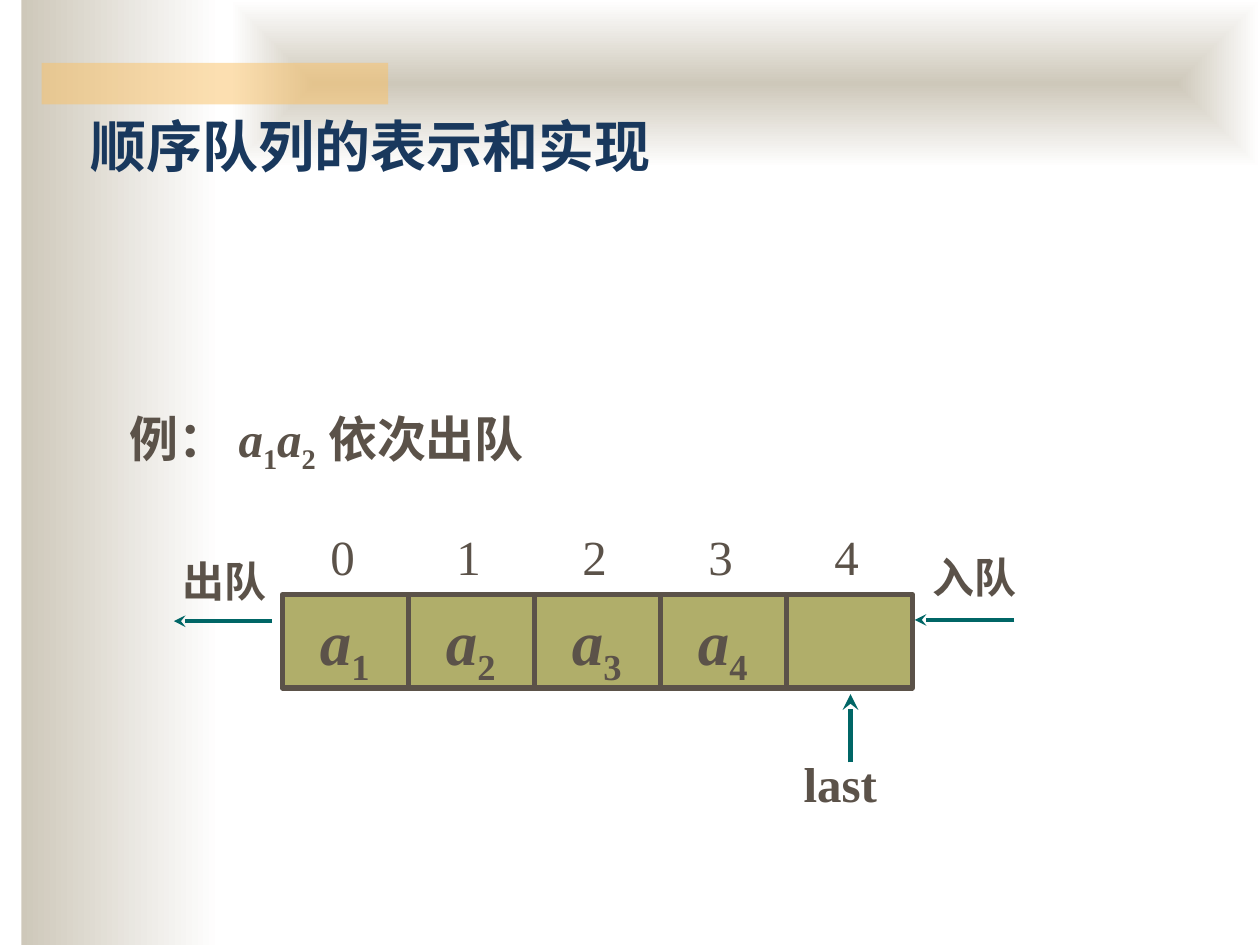
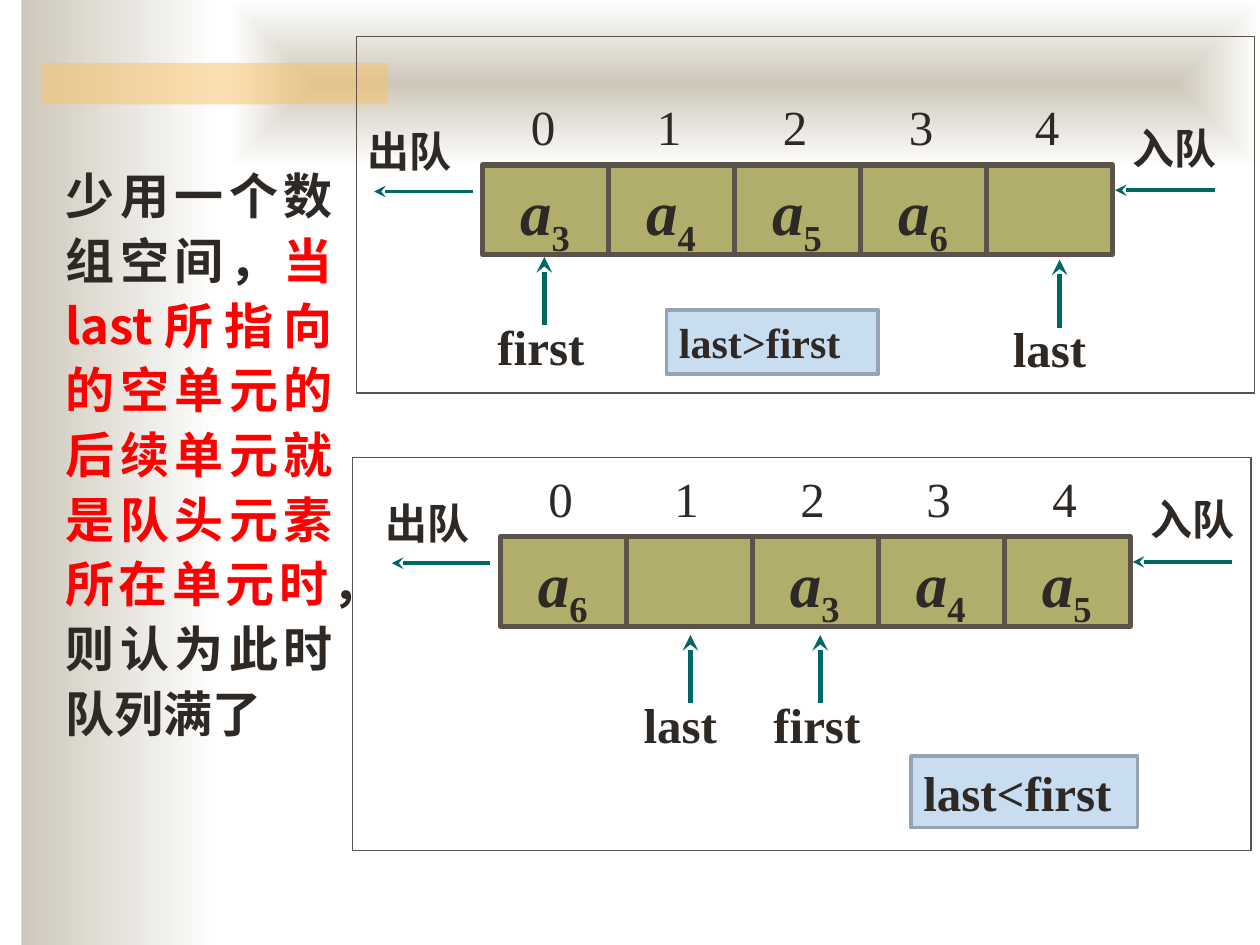
"""Build two slides on the array-based queue."""
import lxml.etree
import pptx
import pptx.dml.color
import pptx.enum.shapes
import pptx.enum.text
import pptx.oxml.ns
import pptx.util

RGBColor = pptx.dml.color.RGBColor
BOX = pptx.enum.shapes.MSO_SHAPE.RECTANGLE
ALIGN = pptx.enum.text.PP_ALIGN
MIDDLE = pptx.enum.text.MSO_ANCHOR.MIDDLE
qn = pptx.oxml.ns.qn

WIDE, HIGH = 10, 7.5
SERIF, SANS = "Times New Roman", "Noto Sans CJK SC"
SAND = RGBColor(0xCE, 0xC8, 0xBA)
WHITE = RGBColor(0xFF, 0xFF, 0xFF)
AMBER = RGBColor(0xFA, 0xC1, 0x64)
OLIVE = RGBColor(0xB0, 0xAE, 0x6A)
BROWN = RGBColor(0x5B, 0x52, 0x49)
DARK = RGBColor(0x2E, 0x29, 0x24)
TEAL = RGBColor(0x00, 0x66, 0x66)
NAVY = RGBColor(0x19, 0x38, 0x5D)
RED = RGBColor(0xFF, 0x00, 0x00)
SKY = RGBColor(0xC9, 0xDD, 0xF1)
STEEL = RGBColor(0x95, 0xA3, 0xB2)


def grid(*steps):
    """Turn grid steps, each a tenth of the slide's width, into lengths."""
    return [pptx.util.Inches(step) for step in steps]


def sub(node, tag, **traits):
    """Append a drawing element to a node."""
    return lxml.etree.SubElement(node, qn(tag), **traits)


def block(slide, area, fill=None, edge=None, weight=1):
    """Add a flat rectangle."""
    shape = slide.shapes.add_shape(BOX, *grid(*area))
    shape.shadow.inherit = False
    if fill is None:
        shape.fill.background()
    else:
        shape.fill.solid()
        shape.fill.fore_color.rgb = fill
    if edge is None:
        shape.line.fill.background()
    else:
        shape.line.color.rgb = edge
        shape.line.width = pptx.util.Pt(weight)
    return shape


def fade(shape):
    """Fill a shape with the shared sand-to-white gradient."""
    shape.fill.gradient()
    shape.fill.gradient_angle = 0
    for stop, shade, place in zip(shape.fill.gradient_stops, (SAND, WHITE), (0, 1)):
        stop.color.rgb = shade
        stop.position = place


def bands(deck, slide):
    """Draw the shared bands and place them on the master."""
    side = block(slide, (0.17, 0, 1.58, HIGH), WHITE)
    top = block(slide, (1.83, 0, 8.17, 1.33), WHITE)
    bar = block(slide, (0.33, 0.5, 2.75, 0.33), AMBER)
    fade(side)
    fade(top)
    blend = top.element.spPr.find(qn("a:gradFill"))
    blend.remove(blend.find(qn("a:lin")))
    route = sub(blend, "a:path", path="shape")
    sub(route, "a:fillToRect", l="50000", t="50000", r="50000", b="50000")
    sub(bar.element.spPr.find(".//" + qn("a:srgbClr")), "a:alpha", val="50000")
    for rank, shape in enumerate((side, top, bar)):
        shape.element.nvSpPr.cNvPr.set("id", str(100 + rank))
        deck.slide_master.shapes.element.insert(2 + rank, shape.element)


def write(shape, parts, size, ink, face=SERIF, bold=True, align=ALIGN.LEFT):
    """Write one paragraph of (text, look) parts, or a plain string."""
    frame = shape.text_frame
    frame.word_wrap = True
    line = frame.paragraphs[0]
    line.alignment = align
    font = line.font
    font.size, font.bold, font.name = pptx.util.Pt(size), bold, face
    font.color.rgb = ink
    sub(font._element, "a:ea", typeface=SANS)
    for text, look in [(parts, None)] if isinstance(parts, str) else parts:
        run = line.add_run()
        run.text = text
        if look == "var":
            run.font.italic = True
        elif look == "low":
            run._r.get_or_add_rPr().set("baseline", "-25000")
        elif look is not None:
            run.font.color.rgb = look
    return line


def label(slide, area, parts, size, ink, **style):
    """Add a text box with one paragraph."""
    box = slide.shapes.add_textbox(*grid(*area))
    return box, write(box, parts, size, ink, **style)


def term(index):
    """Give the parts of the variable a with its index."""
    return [("a", "var"), (str(index), "low")]


def arrow(slide, start, end, weight):
    """Add a teal arrow from start to end."""
    link = slide.shapes.add_connector(
        pptx.enum.shapes.MSO_CONNECTOR.STRAIGHT, *grid(*start, *end))
    link.line.color.rgb = TEAL
    link.line.width = pptx.util.Pt(weight)
    props = link.element.spPr
    sub(props.find(qn("a:ln")), "a:tailEnd", type="stealth")
    sub(props, "a:effectLst")


def queue(slide, left, top, high, items, ink, out):
    """Draw the cells, their indices and the arrows in and out."""
    for col, item in enumerate(items):
        x = left + col
        block(slide, (x, top, 1, high), OLIVE, BROWN, 3)
        label(slide, (x, top - 0.59, 0.96, 0.57), str(col), 28, ink,
              bold=False, align=ALIGN.CENTER)
        if item:
            label(slide, (x + 0.2, top + 0.01, 0.7, 0.7), term(item), 36, ink)
    end = left + len(items)
    arrow(slide, (end + 0.81, top + 0.2), (end + 0.02, top + 0.2), 2.25)
    arrow(slide, (left - 0.08, top + 0.21), (left - 0.86, top + 0.21), 2.25)
    label(slide, (end + 0.06, top - 0.39, 0.95, 0.5), "入队", 24, ink)
    label(slide, (left - out, top - 0.36, 0.95, 0.5), "出队", 24, ink)


def mark(slide, x, top, name, ink):
    """Add a named pointer that points up at a cell."""
    arrow(slide, (x, top + 0.54), (x, top), 3)
    label(slide, (x - 0.47, top + 0.42, 1.1, 0.57), name, 28, ink)


def note(slide, area, text, size):
    """Add a blue box with a comparison."""
    box = block(slide, area, SKY, STEEL, 2)
    box.text_frame.vertical_anchor = MIDDLE
    write(box, text, size, DARK)


def head(slide, text):
    """Place and write the title."""
    title = slide.shapes.title
    title.left, title.top, title.width, title.height = grid(0.62, 0.84, 6.42, 0.63)
    title.text_frame.vertical_anchor = MIDDLE
    write(title, text, 32, NAVY, face=SANS)


def leave(slide):
    """Fill the slide on leaving the queue."""
    head(slide, "顺序队列的表示和实现")
    parts = [("例： ", None), *term(1), *term(2), (" 依次出队", None)]
    label(slide, (0.93, 3.19, 3.69, 0.57), parts, 28, BROWN)
    queue(slide, 2.24, 4.72, 0.74, (1, 2, 3, 4, None), BROWN, 0.89)
    mark(slide, 6.75, 5.51, "last", BROWN)


def full(slide):
    """Fill the slide on the two forms of a full queue."""
    queue(slide, 3.83, 1.31, 0.71, (3, 4, 5, 6, None), DARK, 1.01)
    mark(slide, 4.32, 2.04, "first", DARK)
    mark(slide, 8.41, 2.06, "last", DARK)
    note(slide, (5.29, 2.46, 1.68, 0.51), "last>first", 24)
    queue(slide, 3.97, 4.26, 0.71, (6, None, 3, 4, 5), DARK, 1.01)
    mark(slide, 5.48, 5.04, "last", DARK)
    mark(slide, 6.51, 5.04, "first", DARK)
    note(slide, (7.23, 6, 1.8, 0.57), "last<first", 28)
    parts = [("少用一个数组空间，", None),
             ("当last所指向的空单元的后续单元就是队头元素所在单元时", RED),
             ("，则认为此时队列满了", None)]
    box, line = label(slide, (0.52, 1.22, 2.12, 4.77), parts, 28, DARK,
                      face=SANS, align=ALIGN.JUSTIFY)
    box.text_frame.margin_left = box.text_frame.margin_right = 0
    line.line_spacing = 1.1
    for area in ((2.83, 0.29, 7.13, 2.83), (2.8, 3.63, 7.13, 3.12)):
        block(slide, area, edge=BROWN, weight=0.75)


def main():
    """Build and save the deck."""
    deck = pptx.Presentation()
    deck.slide_width, deck.slide_height = grid(WIDE, HIGH)
    first = deck.slides.add_slide(deck.slide_layouts.get_by_name("Title Only"))
    bands(deck, first)
    leave(first)
    full(deck.slides.add_slide(deck.slide_layouts.get_by_name("Blank")))
    deck.save("out.pptx")


if __name__ == "__main__":
    main()
